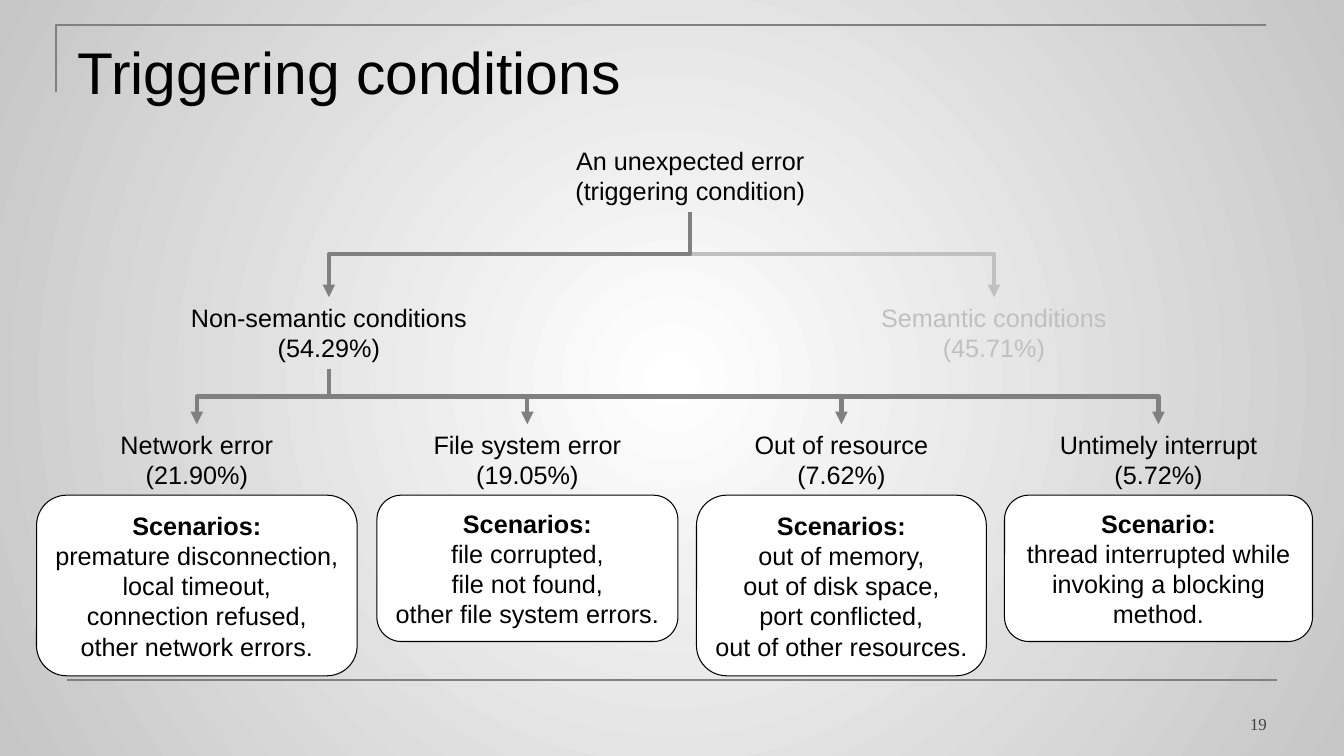
from lxml.etree import SubElement
from pptx import Presentation
from pptx.dml.color import RGBColor
from pptx.enum.shapes import MSO_CONNECTOR as Conn, MSO_SHAPE as Shape
from pptx.enum.text import MSO_ANCHOR as Anchor, MSO_AUTO_SIZE as AutoSize, PP_ALIGN as Align
from pptx.oxml.ns import qn
from pptx.util import Pt

# Content
TITLE = "Triggering conditions"
PAGE = "19"
ROOT = ["An unexpected error", "(triggering condition)"]
SEMANTIC = ["Semantic conditions", "(45.71%)"]
NON_SEMANTIC = ["Non-semantic conditions", "(54.29%)"]
# label lines, label width, centre x, box width, rows in box, wraps, box lines
ERRORS = [
    (["Network error", "(21.90%)"], 125, 140.6, 229, 5, False,
     ["Scenarios:", "premature disconnection,", "local timeout,",
      "connection refused,", "other network errors."]),
    (["File system error", "(19.05%)"], 150, 376.7, 215, 4, False,
     ["Scenarios:", "file corrupted,", "file not found,", "other file system errors."]),
    (["Out of resource", "(7.62%)"], 140, 601, 207, 5, False,
     ["Scenarios:", "out of memory,", "out of disk space,",
      "port conflicted,", "out of other resources."]),
    (["Untimely interrupt", "(5.72%)"], 157, 827.5, 220, 4, True,
     ["Scenario:", "thread interrupted while invoking a blocking method."]),
]


class Theme:
    font, page_font = "Arial", "Times New Roman"
    title, body, page = 42, 18, 12
    ink, line, faded, page_ink = "000000", "808080", "C0C0C0", "404040"
    box, bg_edge = "FFFFFF", "C6C6C6"


# Layout, in points
LABEL_H = 51
ROOT_X, ROOT_Y = 493, 100.1
NON_SEM_X, SEM_X, KIND_Y = 234.9, 710, 212.3
ERROR_Y, BOX_Y = 303, 353.7
ROW_H, BOX_PAD = 24.5, 6.5

prs = Presentation()
prs.slide_width, prs.slide_height = Pt(960), Pt(540)
s = prs.slides.add_slide(prs.slide_layouts[5])


def rgb(color):
    return RGBColor.from_string(color)


def write(sp, lines, size=Theme.body, color=Theme.ink, font=Theme.font,
          align=Align.CENTER, anchor=Anchor.TOP, wrap=False, head_bold=False):
    tf = sp.text_frame
    tf.auto_size, tf.word_wrap, tf.vertical_anchor = AutoSize.NONE, wrap, anchor
    for i, line in enumerate(lines):
        p = tf.paragraphs[0] if i == 0 else tf.add_paragraph()
        p.alignment = align
        r = p.add_run()
        r.text = line
        r.font.name, r.font.size = font, Pt(size)
        r.font.bold = head_bold and i == 0
        r.font.color.rgb = rgb(color)


def label(lines, center, top, width, **fmt):
    sp = s.shapes.add_textbox(Pt(center - width / 2), Pt(top), Pt(width), Pt(LABEL_H))
    write(sp, lines, **fmt)


def style_line(sp, color, width):
    sp.line.color.rgb, sp.line.width = rgb(color), Pt(width)


def flatten(connector):
    SubElement(connector._element.spPr, qn("a:effectLst"))


def branch(x1, y1, x2, y2, color=Theme.line):
    """Elbow arrow that leaves and arrives vertically: a turned elbow."""
    w, h = y2 - y1, abs(x2 - x1)
    left, top = (x1 + x2 - w) / 2, (y1 + y2 - h) / 2
    c = s.shapes.add_connector(Conn.ELBOW, Pt(left), Pt(top), Pt(left + w), Pt(top + h))
    style_line(c, color, 3)
    SubElement(c.line._get_or_add_ln(), qn("a:tailEnd"), type="triangle")
    xfrm = c._element.spPr.find(qn("a:xfrm"))
    xfrm.set("rot", str((90 if x2 < x1 else 270) * 60000))
    if x2 > x1:
        xfrm.set("flipH", "1")
    flatten(c)


# Background: radial gradient from the centre
fill = s.background.fill
fill.gradient()
for stop, color in zip(fill.gradient_stops, (Theme.box, Theme.bg_edge)):
    stop.color.rgb = rgb(color)
grad = s._element.find(".//" + qn("a:gradFill"))
grad.remove(grad.find(qn("a:lin")))
radial = SubElement(grad, qn("a:path"), path="circle")
SubElement(radial, qn("a:fillToRect"), {side: "50000" for side in "ltrb"})

# Frame lines
fb = s.shapes.build_freeform(Pt(40.3), Pt(66))
fb.add_line_segments([(Pt(40.3), Pt(18)), (Pt(904.3), Pt(18))], close=False)
corner = fb.convert_to_shape()
corner.fill.background()
corner.shadow.inherit = False
style_line(corner, Theme.line, 1.5)
footer = s.shapes.add_connector(Conn.STRAIGHT, Pt(48), Pt(486), Pt(912), Pt(486))
style_line(footer, Theme.line, 1.5)
flatten(footer)

# Title and page number
title = s.shapes.title
title.left, title.top, title.width, title.height = Pt(48), Pt(21.6), Pt(864), Pt(90)
write(title, [TITLE], size=Theme.title, align=Align.LEFT, wrap=True)
page = s.shapes.add_textbox(Pt(688), Pt(492), Pt(224), Pt(36))
write(page, [PAGE], size=Theme.page, color=Theme.page_ink, font=Theme.page_font,
      align=Align.RIGHT, anchor=Anchor.BOTTOM, wrap=True)

# Root and the two kinds of condition
label(ROOT, ROOT_X, ROOT_Y, 179)
label(SEMANTIC, SEM_X, KIND_Y, 177, color=Theme.faded)
label(NON_SEMANTIC, NON_SEM_X, KIND_Y, 213)
branch(ROOT_X, ROOT_Y + LABEL_H, SEM_X, KIND_Y, Theme.faded)
branch(ROOT_X, ROOT_Y + LABEL_H, NON_SEM_X, KIND_Y)

# Error types with their scenarios
for name, name_w, center, box_w, rows, wrap, scenarios in ERRORS:
    label(name, center, ERROR_Y, name_w)
    branch(NON_SEM_X, KIND_Y + LABEL_H, center, ERROR_Y)
    box = s.shapes.add_shape(Shape.ROUNDED_RECTANGLE, Pt(center - box_w / 2), Pt(BOX_Y),
                             Pt(box_w), Pt(rows * ROW_H + BOX_PAD))
    box.shadow.inherit = False
    box.fill.solid()
    box.fill.fore_color.rgb = rgb(Theme.box)
    style_line(box, Theme.ink, 0.75)
    write(box, scenarios, anchor=Anchor.MIDDLE, wrap=wrap, head_bold=True)

prs.save("out.pptx")
